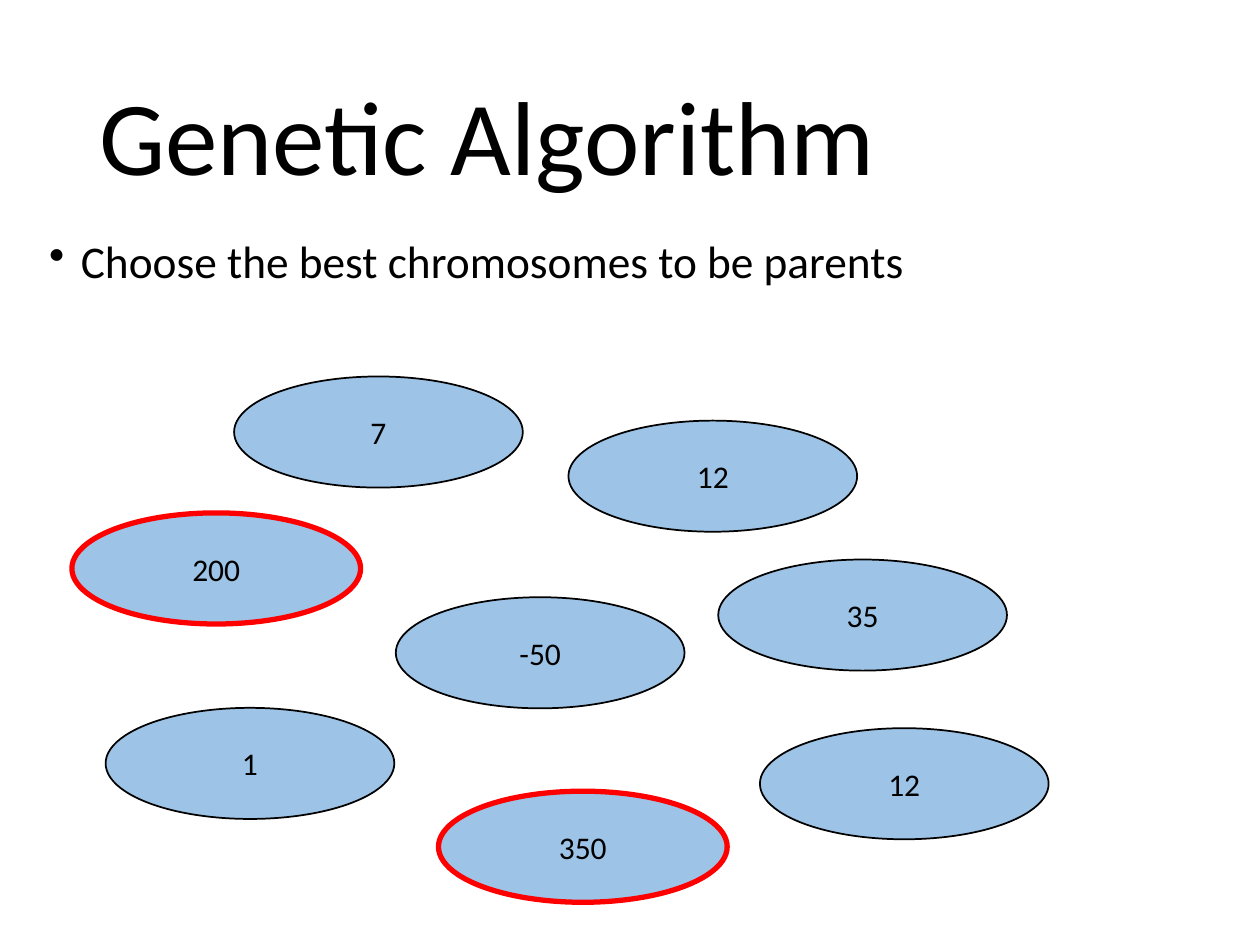
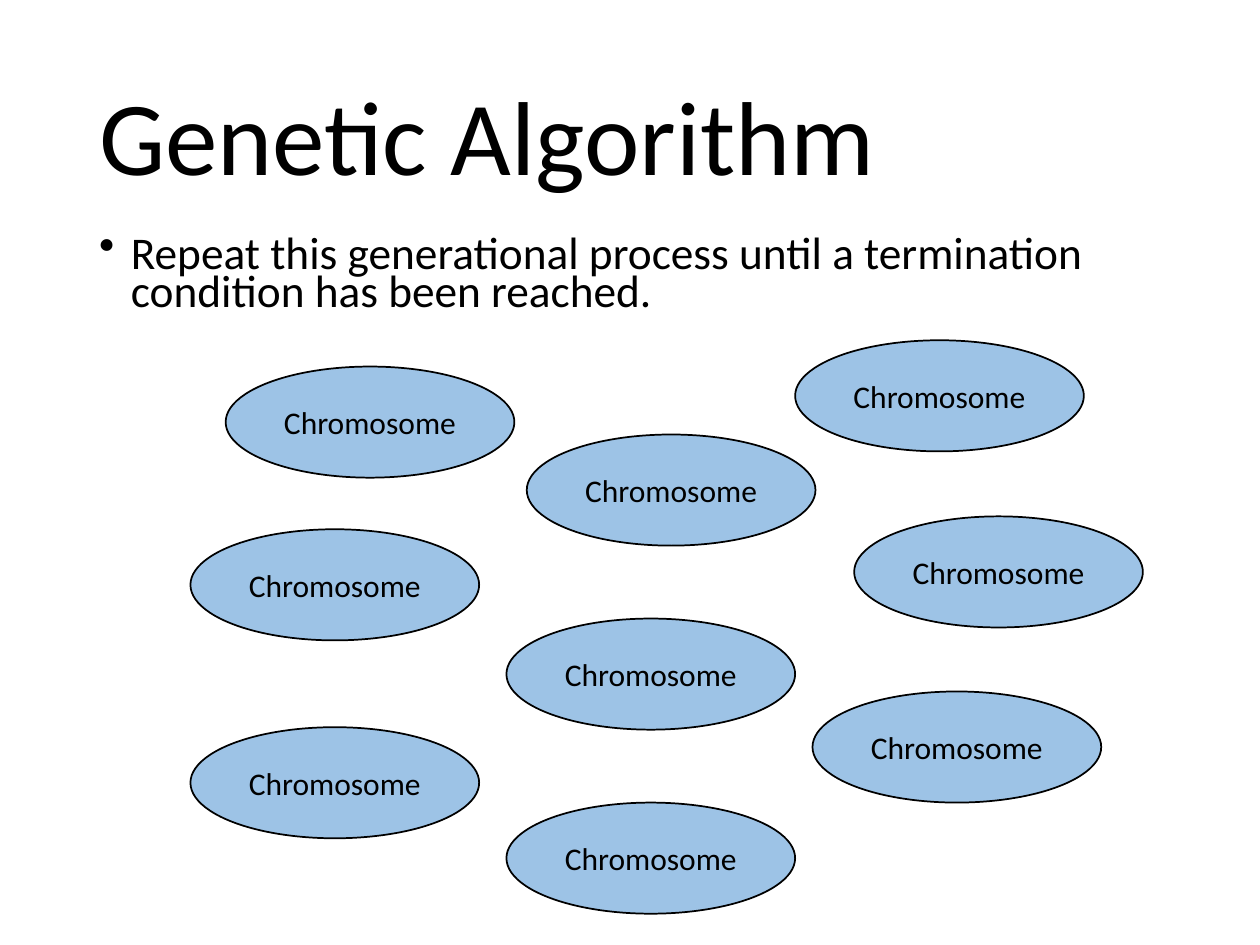
from lxml.etree import SubElement
from pptx import Presentation
from pptx.dml.color import RGBColor
from pptx.enum.shapes import MSO_SHAPE as Preset
from pptx.enum.text import MSO_ANCHOR as Anchor, PP_ALIGN as Align
from pptx.oxml.ns import qn
from pptx.util import Cm, Pt

FONT = "Calibri"
COLORS = {"text": "000000", "oval": "9DC3E6", "outline": "000000", "chosen": "FF0000"}
OVAL_WIDTH, OVAL_HEIGHT = 5.82, 2.24
BULLET_INDENT = 0.64

# Fitness value, left, top, chosen as parent
FITNESS = [
    ("7", 4.72, 7.59, False),
    ("-50", 7.98, 12.04, False),
    ("12", 11.46, 8.48, False),
    ("1", 2.13, 14.27, False),
    ("35", 14.48, 11.28, False),
    ("12", 15.32, 14.68, False),
    ("200", 1.45, 10.34, True),
    ("350", 8.84, 15.95, True),
]
# Left and top of each member of the new generation
GENERATION = [
    (4.55, 7.39), (10.62, 8.76), (3.84, 10.67),
    (10.21, 12.47), (3.84, 14.66), (10.21, 16.18),
    (17.22, 10.41), (16.38, 13.94), (16.03, 6.86),
]


def color(name):
    return RGBColor.from_string(COLORS[name])


def write(shape, text, *, size, align=Align.LEFT, anchor=Anchor.TOP,
          spacing=1.0, bullet=False):
    frame = shape.text_frame
    frame.word_wrap = True
    frame.vertical_anchor = anchor
    paragraph = frame.paragraphs[0]
    if bullet:
        properties = paragraph._p.get_or_add_pPr()
        properties.set("marL", str(Cm(BULLET_INDENT)))
        properties.set("indent", str(-Cm(BULLET_INDENT)))
        SubElement(properties, qn("a:buChar")).set("char", "•")
    paragraph.alignment = align
    paragraph.line_spacing = spacing
    run = paragraph.add_run()
    run.text = text
    run.font.name = FONT
    run.font.size = Pt(size)
    run.font.color.rgb = color("text")


def add_text(slide, text, left, top, width, height, **text_format):
    box = slide.shapes.add_textbox(Cm(left), Cm(top), Cm(width), Cm(height))
    write(box, text, **text_format)


def add_chromosome(slide, label, left, top, chosen=False):
    oval = slide.shapes.add_shape(
        Preset.OVAL, Cm(left), Cm(top), Cm(OVAL_WIDTH), Cm(OVAL_HEIGHT))
    oval.shadow.inherit = False
    oval.fill.solid()
    oval.fill.fore_color.rgb = color("oval")
    oval.line.color.rgb = color("chosen" if chosen else "outline")
    oval.line.width = Pt(3 if chosen else 1)
    write(oval, label, size=18, align=Align.CENTER, anchor=Anchor.MIDDLE)


def add_step_slide(deck, step, left, width, spacing):
    """Add a slide with the shared title and one bulleted step."""
    slide = deck.slides.add_slide(deck.slide_layouts[6])
    add_text(slide, "Genetic Algorithm", 1.75, 1.02, 21.89, 3.68,
             size=60, anchor=Anchor.MIDDLE, spacing=0.9)
    add_text(slide, step, left, 4.7, width, 1.8,
             size=25.9, spacing=spacing, bullet=True)
    return slide


def main():
    deck = Presentation()
    deck.slide_width, deck.slide_height = Cm(25.4), Cm(19.05)

    selection = add_step_slide(
        deck, "Choose the best chromosomes to be parents", 0.74, 18.97, 0.9)
    for value, left, top, chosen in FITNESS:
        add_chromosome(selection, value, left, top, chosen)

    repetition = add_step_slide(
        deck, "Repeat this generational process until a termination "
        "condition has been reached.", 1.75, 21.51, 0.7)
    for left, top in GENERATION:
        add_chromosome(repetition, "Chromosome", left, top)

    deck.save("out.pptx")


if __name__ == "__main__":
    main()
